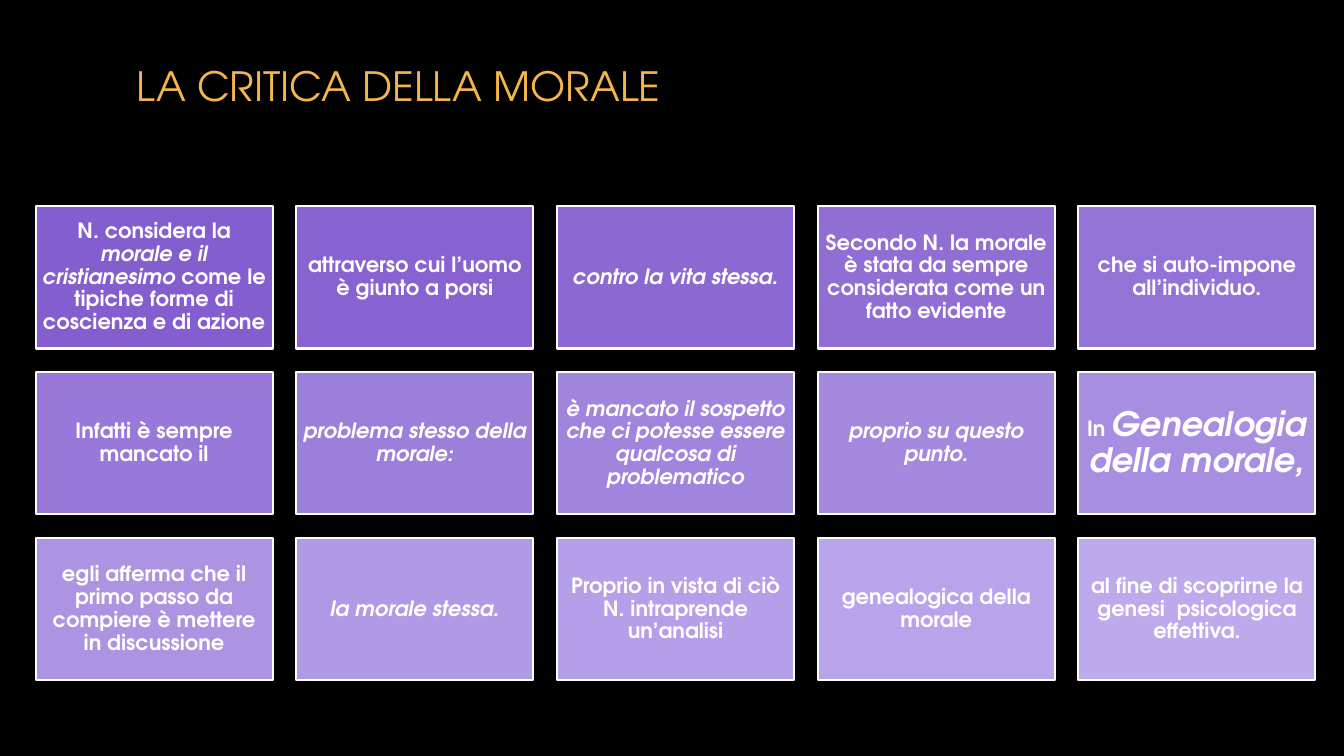
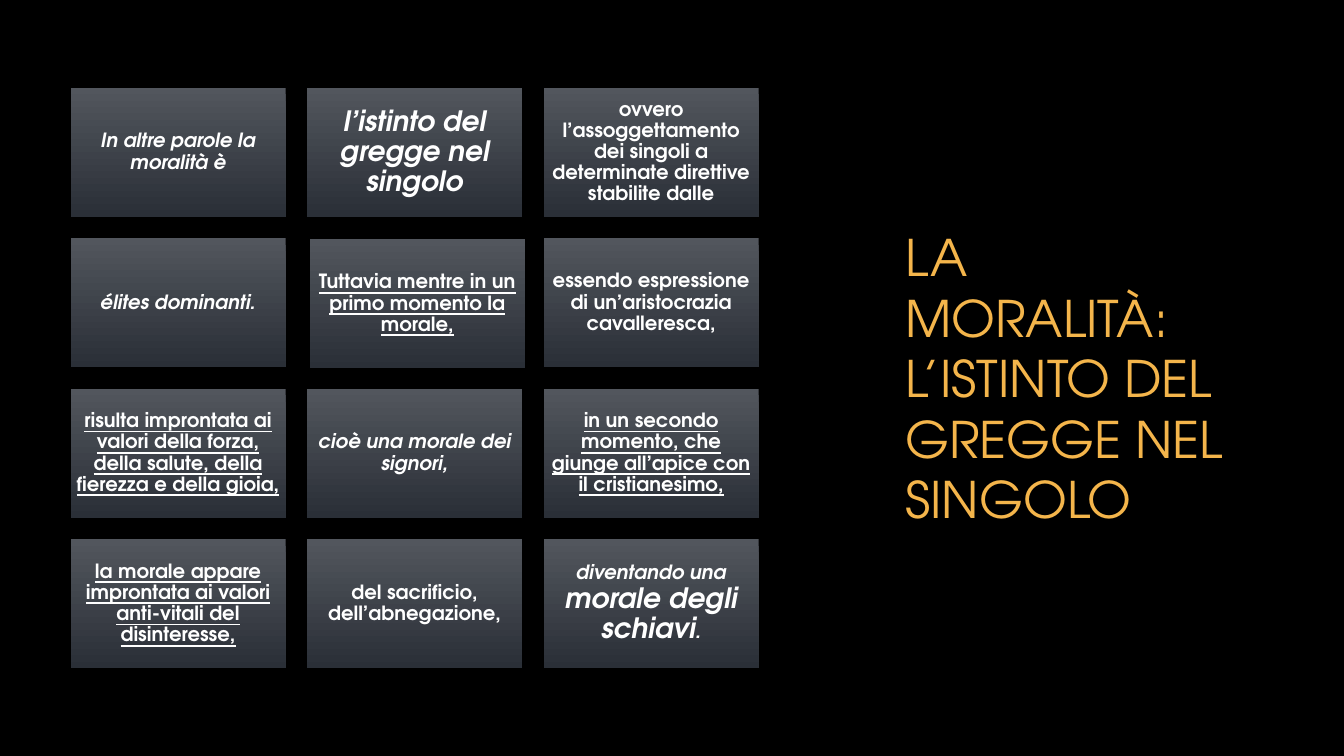
from dataclasses import dataclass

from pptx import Presentation
from pptx.dml.color import RGBColor
from pptx.enum.shapes import MSO_SHAPE
from pptx.enum.text import MSO_ANCHOR, MSO_AUTO_SIZE, PP_ALIGN
from pptx.util import Pt

RECTANGLE = MSO_SHAPE.RECTANGLE
TOP, MIDDLE = MSO_ANCHOR.TOP, MSO_ANCHOR.MIDDLE
LEFT, CENTER = PP_ALIGN.LEFT, PP_ALIGN.CENTER
NO_AUTOFIT = MSO_AUTO_SIZE.NONE

# Shared look
FONT_NAME = "TeX Gyre Adventor"
BLACK, WHITE, GOLD = "000000", "FFFFFF", "F4B54B"
PURPLE_START, PURPLE_END = "845DCE", "BCAAEC"
SLATE_TOP, SLATE_BOTTOM = "52565D", "2A2F37"
TITLE_ONLY_LAYOUT = 5
HEIGHT_RATIO, GAP_RATIO, INSET_RATIO = 0.6, 0.1, 0.3


@dataclass(frozen=True)
class Piece:
    """A stretch of text with one format."""
    text: str
    italic: bool = False
    underline: bool = False
    size: float | None = None


@dataclass(frozen=True)
class Card:
    pieces: tuple[Piece, ...]
    size: float | None = None
    shift: tuple[float, float] = (0, 0)


@dataclass(frozen=True)
class Title:
    text: str
    box: tuple[float, float, float, float]
    size: float
    anchor: MSO_ANCHOR = MIDDLE
    margin_top: float = 3.6


@dataclass(frozen=True)
class Grid:
    left: float
    top: float
    columns: int
    card_width: float
    text_size: float
    cards: tuple[Card, ...]


def plain(text: str) -> Card:
    return Card((Piece(text),))


def italic(text: str, size: float | None = None) -> Card:
    return Card((Piece(text, italic=True),), size)


def underlined(text: str, shift: tuple[float, float] = (0, 0)) -> Card:
    return Card((Piece(text, underline=True),), shift=shift)


CRITIQUE_TITLE = Title("LA CRITICA DELLA MORALE", (90, 44, 780, 60.5), 28.8,
                       anchor=TOP, margin_top=0)
CRITIQUE_GRID = Grid(25.4, 147.4, 5, 169.3, 15, (
    Card((Piece("N. considera la "),
          Piece("morale e il cristianesimo", italic=True),
          Piece(" come le tipiche forme di coscienza e di azione"))),
    plain("attraverso cui l’uomo è giunto a porsi"),
    italic("contro la vita stessa."),
    plain("Secondo N. la morale è stata da sempre considerata come un fatto evidente"),
    plain("che si auto-impone all’individuo."),
    plain("Infatti è sempre mancato il"),
    italic("problema stesso della morale:"),
    italic("è mancato il sospetto che ci potesse essere qualcosa di problematico"),
    italic("proprio su questo punto."),
    Card((Piece("In "), Piece("Genealogia della morale,", italic=True, size=24))),
    plain("egli afferma che il primo passo da compiere è mettere in discussione"),
    italic("la morale stessa."),
    plain("Proprio in vista di ciò N. intraprende un’analisi"),
    plain("genealogica della morale"),
    plain("al fine di scoprirne la genesi  psicologica effettiva."),
))

HERD_TITLE = Title("LA MORALITÀ: L’ISTINTO DEL GREGGE NEL SINGOLO",
                   (639.4, 50.4, 247.7, 438.5), 36)
HERD_GRID = Grid(50.4, 62.6, 3, 153.6, 14, (
    italic("In altre parole la moralità è"),
    italic("l’istinto del gregge nel singolo", size=20),
    plain("ovvero l’assoggettamento dei singoli a determinate direttive stabilite dalle"),
    italic("élites dominanti."),
    underlined("Tuttavia mentre in un primo momento la morale,", shift=(1.9, 0.7)),
    plain("essendo espressione di un’aristocrazia cavalleresca,"),
    underlined("risulta improntata ai valori della forza, della salute, "
               "della fierezza e della gioia,"),
    italic("cioè una morale dei signori,"),
    underlined("in un secondo momento, che giunge all’apice con il cristianesimo,"),
    underlined("la morale appare improntata ai valori anti-vitali del disinteresse,"),
    plain("del sacrificio, dell’abnegazione,"),
    Card((Piece("diventando una ", italic=True),
          Piece("morale degli schiavi", italic=True, size=20),
          Piece(".", italic=True))),
))


def color(value: str) -> RGBColor:
    return RGBColor.from_string(value)


def blend(start: str, end: str, share: float) -> str:
    """Mix two hex colours; share 0 gives start and 1 gives end."""
    pairs = zip(bytes.fromhex(start), bytes.fromhex(end))
    return "".join(f"{round(a + (b - a) * share):02X}" for a, b in pairs)


def apply_format(target, values: dict) -> None:
    for name, value in values.items():
        setattr(target, name, value)


def add_run(paragraph, text: str, size: float, hex_color: str, **style) -> None:
    run = paragraph.add_run()
    run.text = text
    apply_format(run.font, {"name": FONT_NAME, "size": Pt(size), **style})
    run.font.color.rgb = color(hex_color)


def add_titled_slide(presentation, title: Title):
    slide = presentation.slides.add_slide(presentation.slide_layouts[TITLE_ONLY_LAYOUT])
    shape = slide.shapes.title
    apply_format(shape, dict(zip(("left", "top", "width", "height"), map(Pt, title.box))))
    frame = shape.text_frame
    apply_format(frame, {"word_wrap": True, "auto_size": NO_AUTOFIT,
                         "vertical_anchor": title.anchor,
                         "margin_top": Pt(title.margin_top)})
    paragraph = frame.paragraphs[0]
    paragraph.alignment = LEFT
    add_run(paragraph, title.text, title.size, GOLD)
    return slide


def fill_purple(shape, share: float) -> None:
    shape.fill.solid()
    shape.fill.fore_color.rgb = color(blend(PURPLE_START, PURPLE_END, share))
    shape.line.color.rgb = color(WHITE)
    shape.line.width = Pt(1.5)


def fill_slate(shape, share: float) -> None:
    shape.fill.gradient()
    shape.fill.gradient_angle = 270
    for stop, value in zip(shape.fill.gradient_stops, (SLATE_TOP, SLATE_BOTTOM)):
        stop.color.rgb = color(value)
    for stop, position in zip(shape.fill.gradient_stops, (0, 1)):
        stop.position = position
    shape.line.fill.background()


def add_card_text(shape, card: Card, size: float) -> None:
    frame = shape.text_frame
    margin = Pt(size * INSET_RATIO)
    apply_format(frame, {"word_wrap": True, "vertical_anchor": MIDDLE,
                         "margin_left": margin, "margin_right": margin,
                         "margin_top": margin, "margin_bottom": margin})
    paragraph = frame.paragraphs[0]
    apply_format(paragraph, {"alignment": CENTER, "line_spacing": 0.9})
    for piece in card.pieces:
        add_run(paragraph, piece.text, piece.size or size, WHITE, bold=True,
                italic=piece.italic, underline=piece.underline)


def add_grid(slide, grid: Grid, fill_card) -> None:
    """Lay the cards out row by row, with equal gaps both ways."""
    width = grid.card_width
    height, gap = width * HEIGHT_RATIO, width * GAP_RATIO
    for index, card in enumerate(grid.cards):
        row, column = divmod(index, grid.columns)
        left = grid.left + column * (width + gap) + card.shift[0]
        top = grid.top + row * (height + gap) + card.shift[1]
        shape = slide.shapes.add_shape(RECTANGLE, Pt(left), Pt(top), Pt(width), Pt(height))
        shape.shadow.inherit = False
        fill_card(shape, index / (len(grid.cards) - 1))
        add_card_text(shape, card, card.size or grid.text_size)


def main() -> None:
    presentation = Presentation()
    presentation.slide_width, presentation.slide_height = Pt(960), Pt(540)

    # Black background for every slide
    background = presentation.slide_master.background.fill
    background.solid()
    background.fore_color.rgb = color(BLACK)

    # Slides
    for title, grid, fill_card in ((CRITIQUE_TITLE, CRITIQUE_GRID, fill_purple),
                                   (HERD_TITLE, HERD_GRID, fill_slate)):
        add_grid(add_titled_slide(presentation, title), grid, fill_card)

    presentation.save("out.pptx")


if __name__ == "__main__":
    main()
